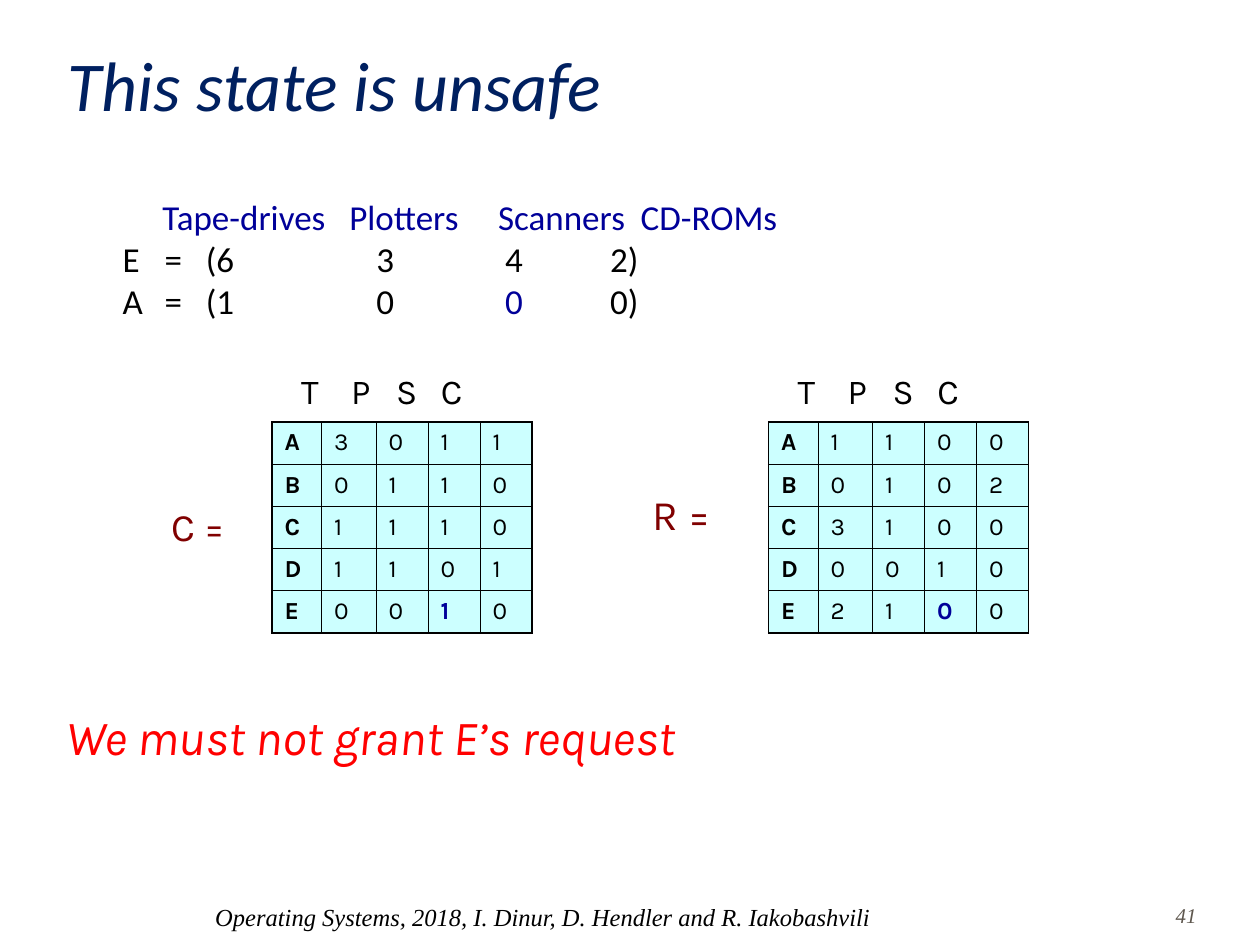
from lxml import etree
from pptx import Presentation, util as u
from pptx.dml.color import RGBColor
from pptx.enum import text
from pptx.oxml import ns

Pt = u.Pt
COLORS = {"black": "000000", "title": "002060", "blue": "000099", "maroon": "800000",
          "red": "FF0000", "gray": "5E574E", "cell": "CCFFFF"}
COLUMN_WIDTHS = (28.3, 31.1, 29.7, 29.7, 29.8)
ROW_HEIGHT = 24.1
TABLE_TOP = 241.2
THIN, THICK = 0.45, 1.08


class SlideBuilder:
    def __init__(self, slide, font="Karla"):
        self.slide = slide
        self.font = font

    def add_run(self, paragraph, content, size, color="black", font=None, bold=False, italic=False):
        run = paragraph.add_run()
        run.text = content
        run.font.name = font or self.font
        run.font.size = Pt(size)
        run.font.bold = bold
        run.font.italic = italic
        run.font.color.rgb = RGBColor.from_string(COLORS[color])

    def set_tabs(self, paragraph, stops):
        tab_list = etree.SubElement(paragraph._p.get_or_add_pPr(), ns.qn("a:tabLst"))
        for stop in stops:
            etree.SubElement(tab_list, ns.qn("a:tab"), pos=str(int(Pt(stop))), algn="l")

    def add_text(self, box, lines, size, tabs=None, align=text.PP_ALIGN.LEFT,
                 anchor=text.MSO_ANCHOR.TOP, spacing=None, **style):
        """Each line is a list of (content, color) runs; tabs holds one list of stops per line."""
        frame = self.slide.shapes.add_textbox(*map(Pt, box)).text_frame
        frame.word_wrap = True
        frame.vertical_anchor = anchor
        for index, runs in enumerate(lines):
            paragraph = frame.add_paragraph() if index else frame.paragraphs[0]
            paragraph.alignment = align
            if spacing:
                paragraph.line_spacing = spacing
            if tabs:
                self.set_tabs(paragraph, tabs[index])
            for content, color in runs:
                self.add_run(paragraph, content, size, color, **style)

    def set_borders(self, cell, widths):
        properties = cell._tc.get_or_add_tcPr()
        for side, width in zip("LRTB", widths):
            line = etree.SubElement(properties, ns.qn(f"a:ln{side}"), w=str(int(Pt(width))))
            fill = etree.SubElement(line, ns.qn("a:solidFill"))
            etree.SubElement(fill, ns.qn("a:srgbClr"), val=COLORS["black"])

    def add_matrix(self, left, rows, highlight):
        """Table with bold row names; highlight is the (row, column) of the changed value."""
        row_count, column_count = len(rows), len(COLUMN_WIDTHS)
        table = self.slide.shapes.add_table(
            row_count, column_count, Pt(left), Pt(TABLE_TOP),
            Pt(sum(COLUMN_WIDTHS)), Pt(ROW_HEIGHT * row_count)).table
        table.first_row = table.horz_banding = False
        for column, width in zip(table.columns, COLUMN_WIDTHS):
            column.width = Pt(width)
        for r, values in enumerate(rows):
            table.rows[r].height = Pt(ROW_HEIGHT)
            for c, value in enumerate(values):
                cell = table.cell(r, c)
                outer = (c == 0, c == column_count - 1, r == 0, r == row_count - 1)
                self.set_borders(cell, [THICK if edge else THIN for edge in outer])
                cell.fill.solid()
                cell.fill.fore_color.rgb = RGBColor.from_string(COLORS["cell"])
                changed = (r, c) == highlight
                self.add_run(cell.text_frame.paragraphs[0], value, 14,
                             "blue" if changed else "black", bold=c == 0 or changed)


def main():
    presentation = Presentation()
    presentation.slide_width, presentation.slide_height = Pt(720), Pt(540)
    builder = SlideBuilder(presentation.slides.add_slide(presentation.slide_layouts[6]))

    builder.add_text((31.7, 18, 612, 59.8), [[("This state is unsafe", "title")]], 40,
                     anchor=text.MSO_ANCHOR.MIDDLE, font="Calibri", italic=True)

    value_stops = (24, 47.5, 145, 218.5, 278.5)
    builder.add_text(
        (63, 108, 569, 264),
        [[("\tTape-drives\tPlotters\tScanners\tCD-ROMs", "blue")],
         [("E\t=\t(6\t3\t4\t2)", "black")],
         [("A\t=\t(1\t0\t", "black"), ("0", "blue"), ("\t0)", "black")]],
        20, tabs=[(22.7, 129.5, 214.5, 296), value_stops, value_stops], font="Calibri")

    builder.add_text((90.7, 286.6, 215, 33.8), [[("C =", "maroon")]], 22.2, spacing=0.9)
    builder.add_text((365.8, 275.8, 67.7, 45.4), [[("R =", "maroon")]], 24)

    matrices = ((155.5, ("A3011", "B0110", "C1110", "D1101", "E0010")),
                (439.2, ("A1100", "B0102", "C3100", "D0010", "E2100")))
    for left, rows in matrices:
        builder.add_matrix(left, rows, highlight=(4, 3))
        builder.add_text((left - 5, 207.4, 193, 31.7), [[("\tT\tP\tS\tC", "black")]], 20,
                         tabs=[(14.5, 43, 68.7, 94.4)])

    builder.add_text((31, 400.3, 623.5, 41), [[("We must not grant E’s request", "red")]], 28,
                     italic=True)
    builder.add_text(
        (115.9, 511.9, 470, 28),
        [[("Operating Systems, 2018, I. Dinur, D. Hendler and R. Iakobashvili", "black")]],
        14, font="Times New Roman", italic=True)
    builder.add_text((660.2, 511.9, 35.3, 23), [[("41", "gray")]], 12,
                     align=text.PP_ALIGN.CENTER, font="Times New Roman", italic=True)
    presentation.save("out.pptx")


if __name__ == "__main__":
    main()
